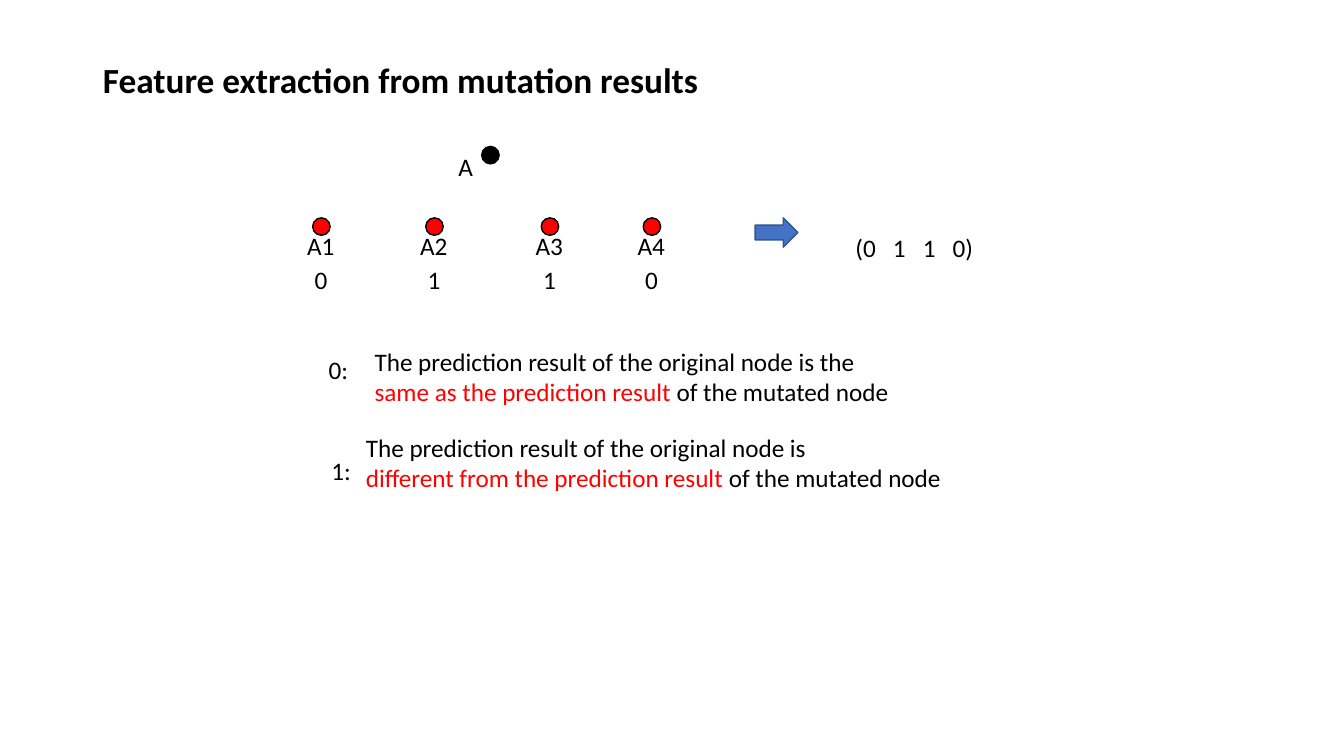
from lxml.etree import SubElement
from pptx import Presentation
from pptx.dml.color import RGBColor
from pptx.enum.shapes import MSO_SHAPE as SHAPE
from pptx.enum.text import MSO_ANCHOR as ANCHOR, MSO_AUTO_SIZE as AUTO, PP_ALIGN as ALIGN
from pptx.oxml.ns import qn
from pptx.util import Cm, Pt

BLACK, RED = "000000", "FF0000"

prs = Presentation()
prs.slide_width, prs.slide_height = Cm(33.87), Cm(19.05)
s = prs.slides.add_slide(prs.slide_layouts[5])


def add_text(x, y, w, h, paragraphs, wrap=False):
    tf = s.shapes.add_textbox(Cm(x), Cm(y), Cm(w), Cm(h)).text_frame
    tf.word_wrap = wrap
    tf.auto_size = AUTO.SHAPE_TO_FIT_TEXT
    for i, runs in enumerate(paragraphs):
        p = tf.add_paragraph() if i else tf.paragraphs[0]
        for text, color in runs:
            r = p.add_run()
            r.text = text
            r.font.name, r.font.size = "Calibri", Pt(18)
            r.font.color.rgb = RGBColor.from_string(color)
    return tf


def add_figure(kind, x, y, w, h, fill, line):
    sp = s.shapes.add_shape(kind, Cm(x), Cm(y), Cm(w), Cm(h))
    sp.shadow.inherit = False
    sp.fill.solid()
    sp.fill.fore_color.rgb = RGBColor.from_string(fill)
    sp.line.color.rgb = RGBColor.from_string(line)
    sp.line.width = Pt(1)


title = s.shapes.title
title.left, title.top, title.width, title.height = Cm(2.34), Cm(1.02), Cm(15.95), Cm(2.11)
tf = title.text_frame
tf.text = "Feature extraction from mutation results"
tf.auto_size = AUTO.NONE
tf.vertical_anchor = ANCHOR.MIDDLE
p = tf.paragraphs[0]
p.alignment = ALIGN.LEFT
p.line_spacing = 0.9
font = p.runs[0].font
font.name, font.size, font.bold = "Calibri", Pt(25.2), True
font.color.rgb = RGBColor.from_string(BLACK)

DOT = 0.44
add_figure(SHAPE.OVAL, 12.14, 3.69, DOT, DOT, BLACK, BLACK)
add_text(11.3, 3.69, 0.88, 1.03, [[("A", BLACK)]])

mutants = [("A1", "0", 8.1), ("A2", "1", 10.95), ("A3", "1", 13.86), ("A4", "0", 16.43)]
for name, bit, center in mutants:
    add_figure(SHAPE.OVAL, center - DOT / 2, 5.49, DOT, DOT, RED, BLACK)
    add_text(center - 0.61, 5.69, 1.22, 1.03, [[(name, BLACK)]])
    add_text(center - 0.42, 6.53, 0.84, 1.03, [[(bit, BLACK)]])

add_figure(SHAPE.RIGHT_ARROW, 19.03, 5.49, 1.08, 0.74, "4472C4", "325491")
tf = add_text(21.31, 5.73, 3.7, 1.03, [[("(0\t1\t1\t0)", BLACK)]], wrap=True)
tabs = SubElement(tf.paragraphs[0]._p.get_or_add_pPr(), qn("a:tabLst"))
for stop in (0.94, 1.7, 2.45):
    SubElement(tabs, qn("a:tab"), pos=str(Cm(stop)), algn="l")

add_text(8.03, 8.81, 1.17, 1.03, [[("0:", BLACK)]])
add_text(9.19, 8.59, 14.07, 1.8, [[
    ("The prediction result of the original node is the ", BLACK),
    ("same as the prediction result", RED),
    (" of the mutated node", BLACK),
]], wrap=True)

add_text(8.1, 11.35, 1.02, 1.03, [[("1:", BLACK)]])
add_text(8.97, 10.77, 16.94, 1.8, [
    [("The prediction result of the original node is", BLACK)],
    [("different from the prediction result ", RED), ("of the mutated node", BLACK)],
], wrap=True)

prs.save("out.pptx")
